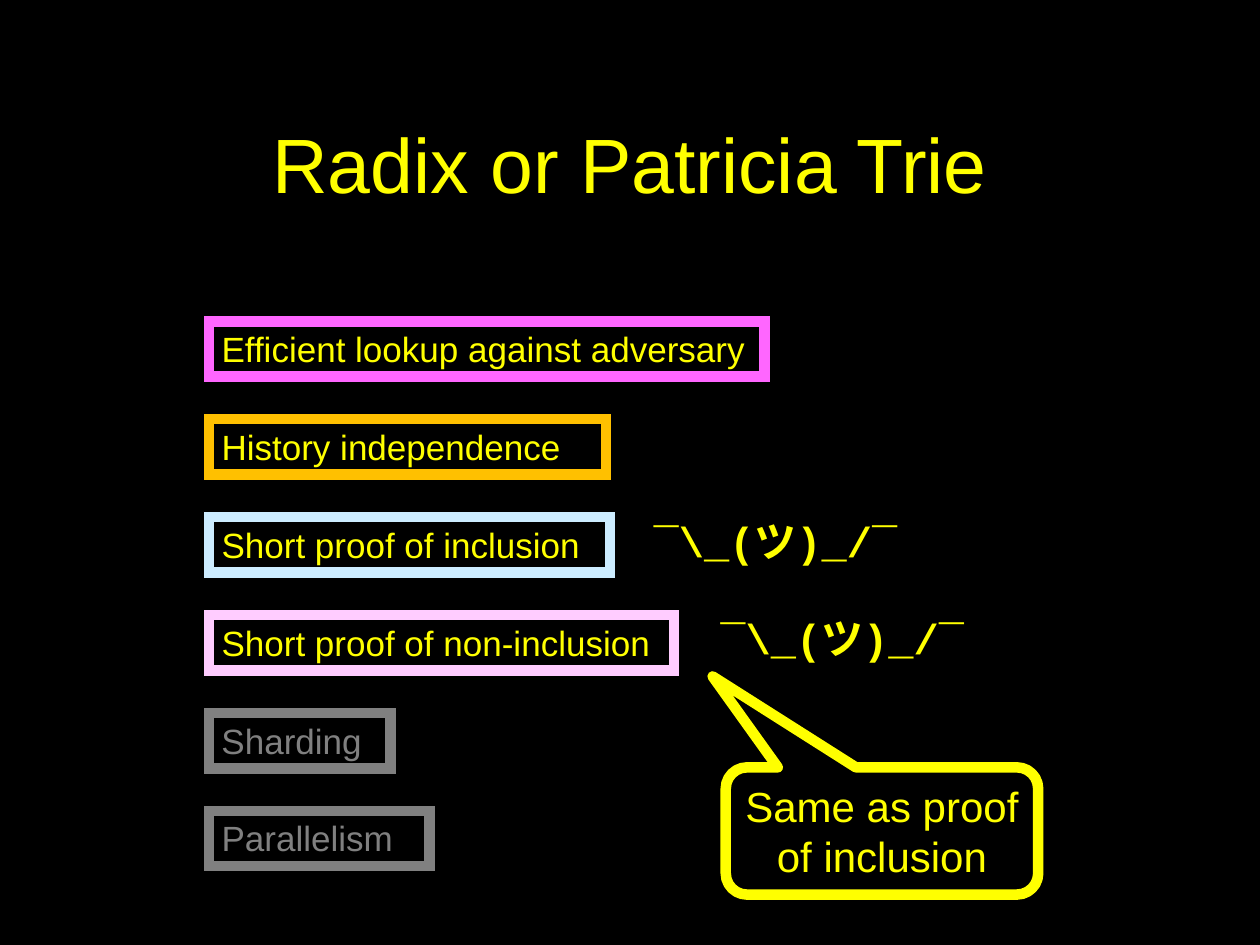
"""Build the slide on the properties of a Radix or Patricia trie."""
from dataclasses import dataclass

from pptx import Presentation
from pptx.dml.color import RGBColor
from pptx.enum.shapes import MSO_SHAPE
from pptx.enum.text import MSO_ANCHOR, MSO_AUTO_SIZE, PP_ALIGN
from pptx.oxml import parse_xml
from pptx.oxml.ns import nsdecls
from pptx.util import Inches, Pt

BLACK, YELLOW, GRAY = "000000", "FFFF00", "808080"
LEFT, TOP, STEP, HEIGHT = 1.66, 2.55, 0.777, 0.44


@dataclass
class Label:
    text: str
    width: float
    edge: str
    ink: str = YELLOW


@dataclass
class Shrug:
    left: float
    top: float


LABELS = [
    Label("Efficient lookup against adversary", 4.41, "FF66FF"),
    Label("History independence", 3.15, "FFC000"),
    Label("Short proof of inclusion", 3.18, "CCECFF"),
    Label("Short proof of non-inclusion", 3.69, "FFCCFF"),
    Label("Sharding", 1.44, GRAY, GRAY),
    Label("Parallelism", 1.75, GRAY, GRAY),
]
SHRUGS = [Shrug(5.05, 4.04), Shrug(5.58, 4.81)]


def color(code: str) -> RGBColor:
    return RGBColor.from_string(code)


def write(frame, text: str, size: int, ink: str, align=PP_ALIGN.LEFT,
          face: str = "Arial", bold: bool = False) -> None:
    frame.text = text
    for para in frame.paragraphs:
        para.alignment = align
        for run in para.runs:
            font = run.font
            font.name, font.size, font.bold = face, Pt(size), bold
            font.color.rgb = color(ink)


def frame_box(slide, kind, box: tuple, edge: str, join: str):
    shape = slide.shapes.add_shape(kind, *map(Inches, box))
    shape.shadow.inherit = False
    shape.fill.solid()
    shape.fill.fore_color.rgb = color(BLACK)
    shape.line.color.rgb = color(edge)
    shape.line.width = Pt(6)
    shape.line._get_or_add_ln().append(parse_xml(f"<a:{join} {nsdecls('a')}/>"))
    return shape


def draw_label(slide, label: Label, row: int) -> None:
    box = (LEFT, TOP + row * STEP, label.width, HEIGHT)
    shape = frame_box(slide, MSO_SHAPE.RECTANGLE, box, label.edge, "miter")
    frame = shape.text_frame
    frame.word_wrap = row > 0
    frame.vertical_anchor = MSO_ANCHOR.TOP
    write(frame, label.text, 20, label.ink)


def draw_shrug(slide, shrug: Shrug) -> None:
    box = map(Inches, (shrug.left, shrug.top, 2.17, 0.5))
    frame = slide.shapes.add_textbox(*box).text_frame
    frame.word_wrap = False
    frame.auto_size = MSO_AUTO_SIZE.SHAPE_TO_FIT_TEXT
    write(frame, "¯\\_(ツ)_/¯", 24, YELLOW, PP_ALIGN.RIGHT, "Courier New", True)


def draw_callout(slide) -> None:
    shape = frame_box(slide, MSO_SHAPE.ROUNDED_RECTANGULAR_CALLOUT,
                      (5.76, 6.09, 2.48, 1.01), YELLOW, "round")
    for spot, value in enumerate((-0.542, -1.215, 0.167)):
        shape.adjustments[spot] = value
    frame = shape.text_frame
    frame.word_wrap = False
    frame.vertical_anchor = MSO_ANCHOR.MIDDLE
    write(frame, "Same as proof\nof inclusion", 24, YELLOW, PP_ALIGN.CENTER)


def draw_title(slide) -> None:
    title = slide.shapes.title
    title.left, title.top = Inches(0.75), Inches(0.67)
    title.width, title.height = Inches(8.5), Inches(1.25)
    title.text_frame.vertical_anchor = MSO_ANCHOR.MIDDLE
    write(title.text_frame, "Radix or Patricia Trie", 44, YELLOW, PP_ALIGN.CENTER)


def main() -> None:
    deck = Presentation()
    deck.slide_width, deck.slide_height = Inches(10), Inches(7.5)
    slide = deck.slides.add_slide(deck.slide_layouts[5])
    slide.background.fill.solid()
    slide.background.fill.fore_color.rgb = color(BLACK)
    draw_title(slide)
    for row, label in enumerate(LABELS):
        draw_label(slide, label, row)
    draw_callout(slide)
    for shrug in SHRUGS:
        draw_shrug(slide, shrug)
    deck.save("out.pptx")


if __name__ == "__main__":
    main()
